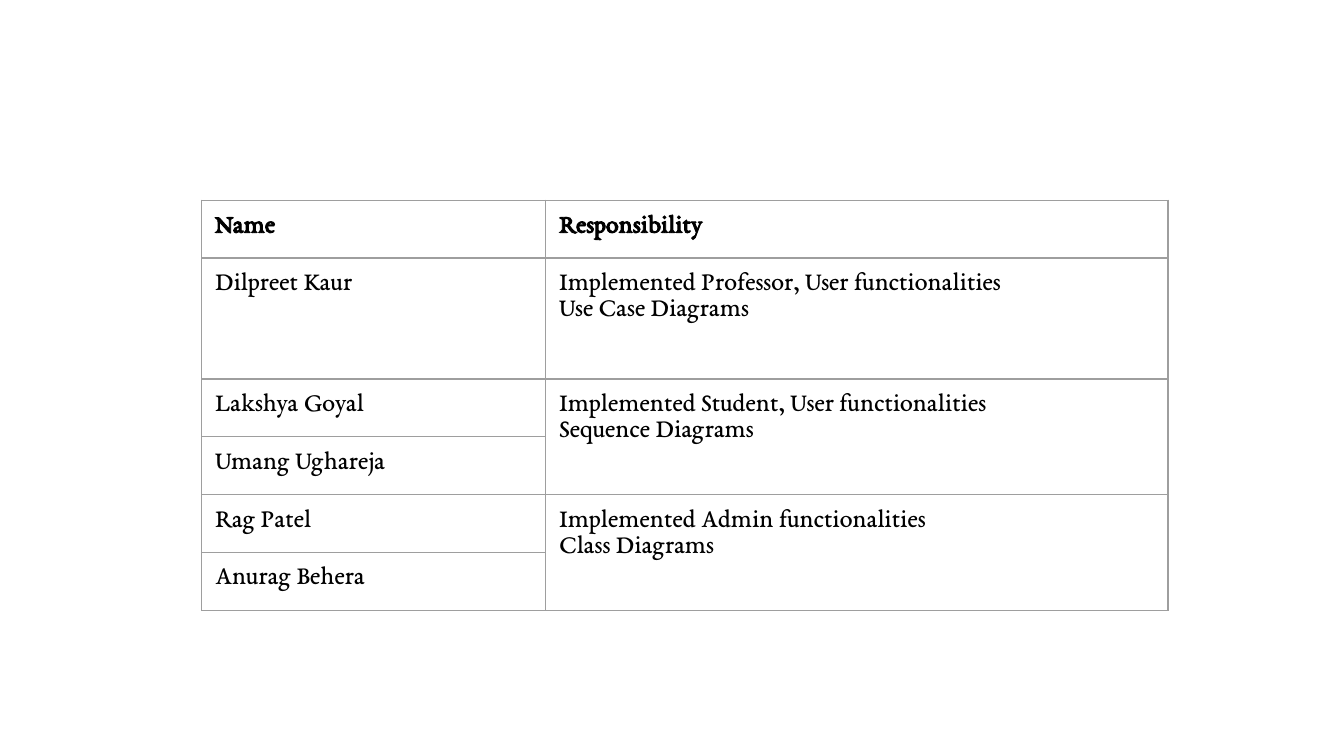
"""Build a slide with a table of team members and their responsibilities."""
from dataclasses import dataclass

import lxml.etree
import pptx
import pptx.dml.color
import pptx.oxml.ns
import pptx.util

Inches = pptx.util.Inches


@dataclass(frozen=True)
class Theme:
    """Hold the colours and type sizes."""

    font: str = "EB Garamond"
    size: float = 14
    ink: str = "000000"
    rule: str = "9E9E9E"
    rule_width: float = 0.75
    inset: float = 0.1


class SlideBuilder:
    """Draw styled elements on the current slide."""

    def __init__(self, theme, slide):
        """Keep the style and the slide."""
        self.theme = theme
        self.slide = slide

    def add_borders(self, cell):
        """Rule all four sides of a cell."""
        qn = pptx.oxml.ns.qn
        properties = cell._tc.get_or_add_tcPr()
        width = str(pptx.util.Pt(self.theme.rule_width))
        for side in ("lnL", "lnR", "lnT", "lnB"):
            line = lxml.etree.SubElement(properties, qn(f"a:{side}"), w=width)
            fill = lxml.etree.SubElement(line, qn("a:solidFill"))
            lxml.etree.SubElement(fill, qn("a:srgbClr"), val=self.theme.rule)

    def fill_cell(self, cell, text, bold):
        """Style a cell and write its text, one paragraph per line."""
        self.add_borders(cell)
        cell.fill.background()
        for side in ("left", "right", "top", "bottom"):
            setattr(cell, f"margin_{side}", Inches(self.theme.inset))
        cell.text = text
        font_format = {
            "name": self.theme.font,
            "size": pptx.util.Pt(self.theme.size),
            "bold": bold,
        }
        for para in cell.text_frame.paragraphs:
            for font in (para.font, *(span.font for span in para.runs)):
                for name, value in font_format.items():
                    setattr(font, name, value)
                font.color.rgb = pptx.dml.color.RGBColor.from_string(self.theme.ink)

    def add_table(self, left, top, widths, heights, rows):
        """Add a table; a None cell joins the cell above it."""
        frame = self.slide.shapes.add_table(
            len(rows), len(widths), Inches(left), Inches(top),
            Inches(sum(widths)), Inches(sum(heights)),
        )
        table = frame.table
        table.first_row = table.horz_banding = False
        for column, width in zip(table.columns, widths):
            column.width = Inches(width)
        for row, height in zip(table.rows, heights):
            row.height = Inches(height)
        for row_index, texts in enumerate(rows):
            for column_index, text in enumerate(texts):
                cell = table.cell(row_index, column_index)
                self.fill_cell(cell, text or "", bold=row_index == 0)
                if text is None:
                    table.cell(row_index - 1, column_index).merge(cell)


def main():
    """Build and save the deck."""
    deck = pptx.Presentation()
    deck.slide_width = Inches(10)
    deck.slide_height = deck.slide_width * 9 // 16
    page = deck.slides.add_slide(deck.slide_layouts[6])
    rows = [
        ("Name", "Responsibility"),
        ("Dilpreet Kaur", "Implemented Professor, User functionalities\nUse Case Diagrams"),
        ("Lakshya Goyal", "Implemented Student, User functionalities\nSequence Diagrams"),
        ("Umang Ughareja", None),
        ("Rag Patel", "Implemented Admin functionalities\nClass Diagrams"),
        ("Anurag Behera", None),
    ]
    heights = [0.43, 0.9] + [0.43] * 4
    SlideBuilder(Theme(), page).add_table(1.5, 1.49, (2.56, 4.63), heights, rows)
    deck.save("out.pptx")


if __name__ == "__main__":
    main()
